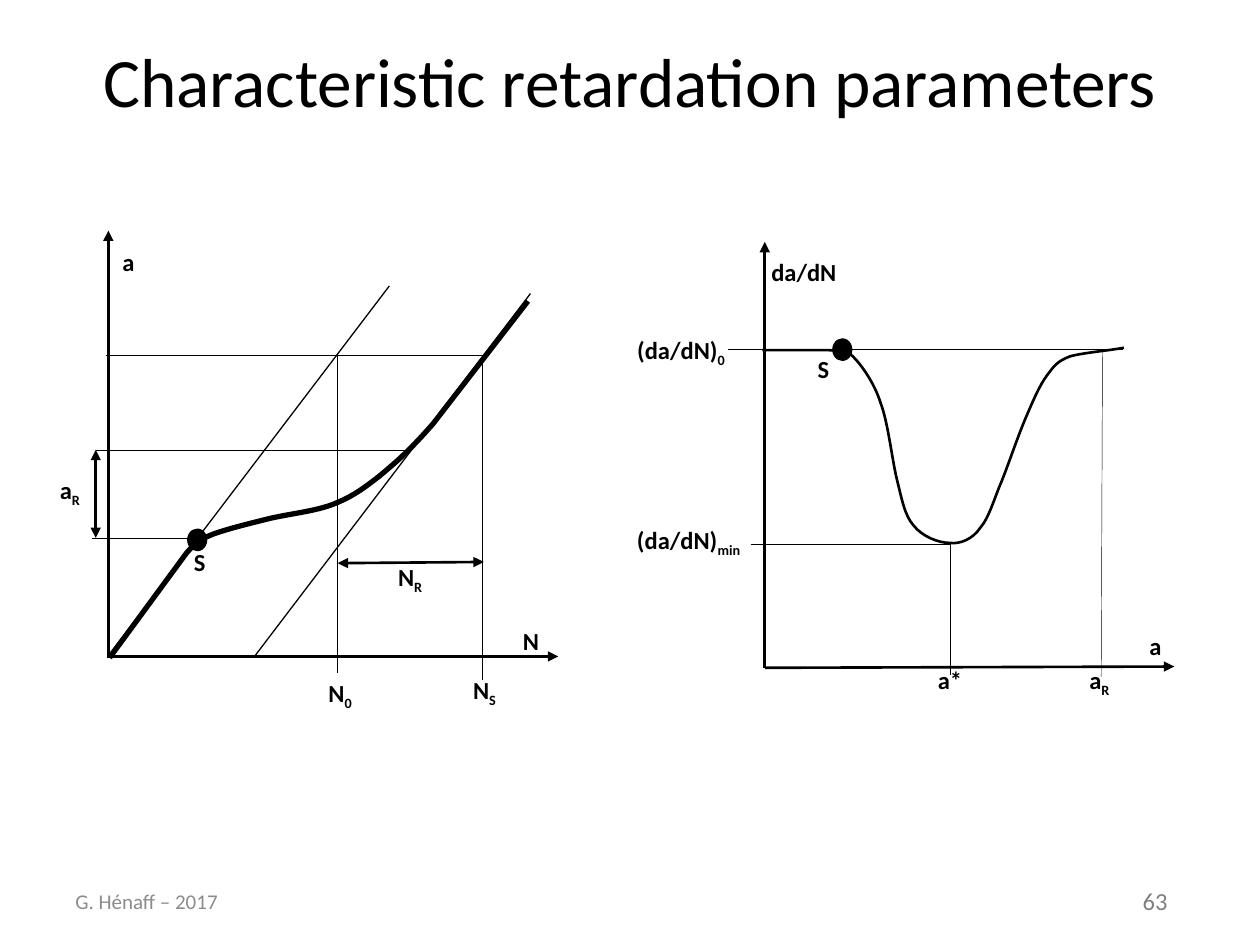
from dataclasses import dataclass
from typing import NamedTuple

from lxml.etree import SubElement
from pptx import Presentation
from pptx.dml.color import RGBColor
from pptx.enum.shapes import MSO_CONNECTOR, MSO_SHAPE
from pptx.enum.text import MSO_ANCHOR, MSO_AUTO_SIZE, PP_ALIGN
from pptx.oxml.ns import qn
from pptx.util import Inches, Pt

COLUMNS, ROWS = 100, 75
SLIDE_WIDTH, SLIDE_HEIGHT = Inches(10), Inches(7.5)


@dataclass(frozen=True)
class Theme:
    font: str = "Calibri"
    ink: RGBColor = RGBColor(0, 0, 0)
    number_gray: RGBColor = RGBColor(0x80, 0x80, 0x80)
    footer_gray: RGBColor = RGBColor(0x8C, 0x8C, 0x8C)
    title_size: float = 39.6
    label_size: float = 14
    footer_size: float = 12
    hairline: float = 0.25
    thin: float = 0.75
    medium: float = 1.5
    heavy: float = 3


THEME = Theme()


class Point(NamedTuple):
    col: float
    row: float


class Label(NamedTuple):
    col: float
    row: float
    width: float
    text: str
    subscript: str = ""


class Line(NamedTuple):
    start: Point
    end: Point
    weight: float
    start_arrow: bool = False
    end_arrow: bool = False


class Curve(NamedTuple):
    """A straight lead-in, cubic bends of three points each, then an optional straight tail."""
    lead: list[Point]
    bends: list[Point]
    tail: list[Point]
    weight: float


class Chart(NamedTuple):
    lines: list[Line]
    curve: Curve
    overload: Point
    labels: list[Label]


def x(col: float) -> int:
    return round(SLIDE_WIDTH * col / COLUMNS)


def y(row: float) -> int:
    return round(SLIDE_HEIGHT * row / ROWS)


def points(*pairs: tuple[float, float]) -> list[Point]:
    return [Point(*pair) for pair in pairs]


def axis(origin: Point, tip: Point) -> Line:
    return Line(origin, tip, THEME.medium, end_arrow=True)


def span(start: Point, end: Point) -> Line:
    return Line(start, end, THEME.medium, True, True)


def draw_line(slide, line: Line) -> None:
    connector = slide.shapes.add_connector(
        MSO_CONNECTOR.STRAIGHT, x(line.start.col), y(line.start.row), x(line.end.col), y(line.end.row))
    connector.line.color.rgb = THEME.ink
    connector.line.width = Pt(line.weight)
    outline = connector.line._get_or_add_ln()
    for tag, wanted in (("a:headEnd", line.start_arrow), ("a:tailEnd", line.end_arrow)):
        if wanted:
            SubElement(outline, qn(tag), type="triangle")
    SubElement(connector._element.spPr, qn("a:effectLst"))


def draw_curve(slide, curve: Curve) -> None:
    """Build the outline from its points, then join each bend's three into a cubic."""
    start, *rest = [(x(p.col), y(p.row)) for p in curve.lead + curve.bends + curve.tail]
    builder = slide.shapes.build_freeform(*start)
    builder.add_line_segments(rest, close=False)
    shape = builder.convert_to_shape()
    shape.shadow.inherit = False
    shape.fill.background()
    shape.line.color.rgb = THEME.ink
    shape.line.width = Pt(curve.weight)

    steps = list(shape._element.iter(qn("a:lnTo")))
    first = len(curve.lead) - 1
    for i in range(first, first + len(curve.bends), 3):
        bend, *others = steps[i:i + 3]
        bend.tag = qn("a:cubicBezTo")
        for other in others:
            bend.append(other[0])
            other.getparent().remove(other)


def draw_overload(slide, center: Point) -> None:
    width, height = 1.5, 1.7
    dot = slide.shapes.add_shape(
        MSO_SHAPE.OVAL, x(center.col - width / 2), y(center.row - height / 2), x(width), y(height))
    dot.shadow.inherit = False
    dot.fill.solid()
    dot.fill.fore_color.rgb = THEME.ink
    dot.line.color.rgb = THEME.ink
    dot.line.width = Pt(THEME.thin)


def draw_text(slide, label: Label, height: float = 3.4, size: float = THEME.label_size,
              color: RGBColor = THEME.ink, bold: bool = False, align: PP_ALIGN = PP_ALIGN.LEFT,
              wrap: bool = True, anchor: MSO_ANCHOR = MSO_ANCHOR.MIDDLE) -> None:
    box = slide.shapes.add_textbox(x(label.col), y(label.row), x(label.width), y(height))
    frame = box.text_frame
    frame.word_wrap = wrap
    frame.auto_size = MSO_AUTO_SIZE.NONE if wrap else MSO_AUTO_SIZE.SHAPE_TO_FIT_TEXT
    frame.vertical_anchor = anchor
    paragraph = frame.paragraphs[0]
    paragraph.alignment = align
    paragraph.font.name = THEME.font
    paragraph.font.size = Pt(size)
    paragraph.font.bold = bold
    paragraph.font.color.rgb = color
    paragraph.add_run().text = label.text
    if label.subscript:
        lowered = paragraph.add_run()
        lowered.text = label.subscript
        lowered.font._element.set("baseline", "-25000")


def draw_chart(slide, chart: Chart) -> None:
    for line in chart.lines:
        draw_line(slide, line)
    draw_curve(slide, chart.curve)
    draw_overload(slide, chart.overload)
    for label in chart.labels:
        draw_text(slide, label, bold=True, align=PP_ALIGN.CENTER, wrap=False, anchor=MSO_ANCHOR.TOP)


CRACK_LENGTH = Chart(
    lines=[
        axis(Point(8.6, 52.1), Point(8.6, 18.3)),
        axis(Point(8.5, 52.1), Point(44.3, 52.1)),
        Line(Point(8.7, 51.9), Point(30.9, 22.7), THEME.thin),
        Line(Point(20.2, 52.1), Point(42.1, 23.3), THEME.thin),
        Line(Point(7.3, 42.7), Point(15.9, 42.7), THEME.hairline),
        Line(Point(7.6, 35.7), Point(32.5, 35.7), THEME.hairline),
        span(Point(7.6, 35.7), Point(7.6, 42.7)),
        Line(Point(8.4, 28.2), Point(38.6, 28.2), THEME.thin),
        Line(Point(26.8, 28.2), Point(26.8, 53.4), THEME.thin),
        Line(Point(38.3, 28.8), Point(38.3, 54), THEME.thin),
        span(Point(26.8, 44.7), Point(38.4, 44.6)),
    ],
    curve=Curve(
        lead=points((8.7, 52.2), (14.8, 43.9)),
        bends=points((16.2, 42.3), (15.9, 42.9), (16.9, 42.4), (18, 42), (19.6, 41.6), (21.2, 41.2),
                     (22.8, 40.8), (25, 40.6), (26.5, 40), (28, 39.4), (28.8, 38.8), (30.1, 37.8),
                     (31.4, 36.7), (32.4, 35.9), (34.4, 33.6)),
        tail=points((41.9, 23.9)),
        weight=THEME.heavy),
    overload=Point(15.65, 42.85),
    labels=[
        Label(8.7, 19.1, 3, "a"), Label(40.5, 49.2, 3.3, "N"), Label(14.4, 42.9, 2.9, "S"),
        Label(3.7, 37.2, 3.7, "a", "R"), Label(30.5, 44.1, 4.1, "N", "R"),
        Label(25, 53.3, 4, "N", "0"), Label(36.5, 53.1, 3.9, "N", "S"),
    ])

GROWTH_RATE = Chart(
    lines=[
        axis(Point(60.7, 53), Point(60.7, 19.2)),
        axis(Point(60.7, 53), Point(93.2, 52.9)),
        Line(Point(57.8, 27.7), Point(89.1, 27.7), THEME.hairline),
        Line(Point(59.6, 43.2), Point(75.4, 43.2), THEME.hairline),
        Line(Point(75.4, 43.2), Point(75.4, 53.6), THEME.hairline),
        Line(Point(87.5, 27.8), Point(87.4, 53.7), THEME.hairline),
    ],
    curve=Curve(
        lead=points((60.5, 27.8), (65.8, 27.8)),
        bends=points((67, 27.9), (67, 27.6), (67.7, 28.3), (68.4, 29), (69.4, 30.4), (69.9, 32),
                     (70.5, 33.6), (70.8, 36.5), (71.2, 38.1), (71.6, 39.7), (71.8, 40.9), (72.5, 41.7),
                     (73.2, 42.6), (74.5, 43.1), (75.4, 43.1), (76.2, 43.2), (77.2, 42.8), (77.8, 41.9),
                     (78.5, 41.1), (78.9, 39.6), (79.5, 38.2), (80.1, 36.7), (80.8, 34.6), (81.4, 33.2),
                     (82, 31.8), (82.5, 30.6), (83.1, 29.8), (83.7, 29), (83.9, 28.7), (84.9, 28.3),
                     (85.9, 28), (88.3, 27.8), (89.2, 27.6)),
        tail=[],
        weight=THEME.medium),
    overload=Point(66.85, 27.75),
    labels=[
        Label(60.2, 19.9, 7.2, "da/dN"), Label(90.2, 49.6, 3, "a"), Label(63.9, 27.6, 2.9, "S"),
        Label(49.5, 26.1, 9.1, "(da/dN)", "0"), Label(49.4, 41.2, 10.5, "(da/dN)", "min"),
        Label(73.4, 52.3, 4, "a*"), Label(85.4, 52.3, 3.7, "a", "R"),
    ])


def main() -> None:
    deck = Presentation()
    deck.slide_width, deck.slide_height = SLIDE_WIDTH, SLIDE_HEIGHT
    slide = deck.slides.add_slide(deck.slide_layouts[6])
    draw_text(slide, Label(89.7, 69.8, 5.3, "63"), color=THEME.number_gray, wrap=False,
              anchor=MSO_ANCHOR.TOP)
    draw_text(slide, Label(5, 0.1, 90, "Characteristic retardation parameters"), height=12.5,
              size=THEME.title_size, align=PP_ALIGN.CENTER)
    draw_text(slide, Label(5, 69.5, 23.3, "G. Hénaff – 2017"), height=4,
              size=THEME.footer_size, color=THEME.footer_gray)
    for chart in (CRACK_LENGTH, GROWTH_RATE):
        draw_chart(slide, chart)
    deck.save("out.pptx")


if __name__ == "__main__":
    main()
